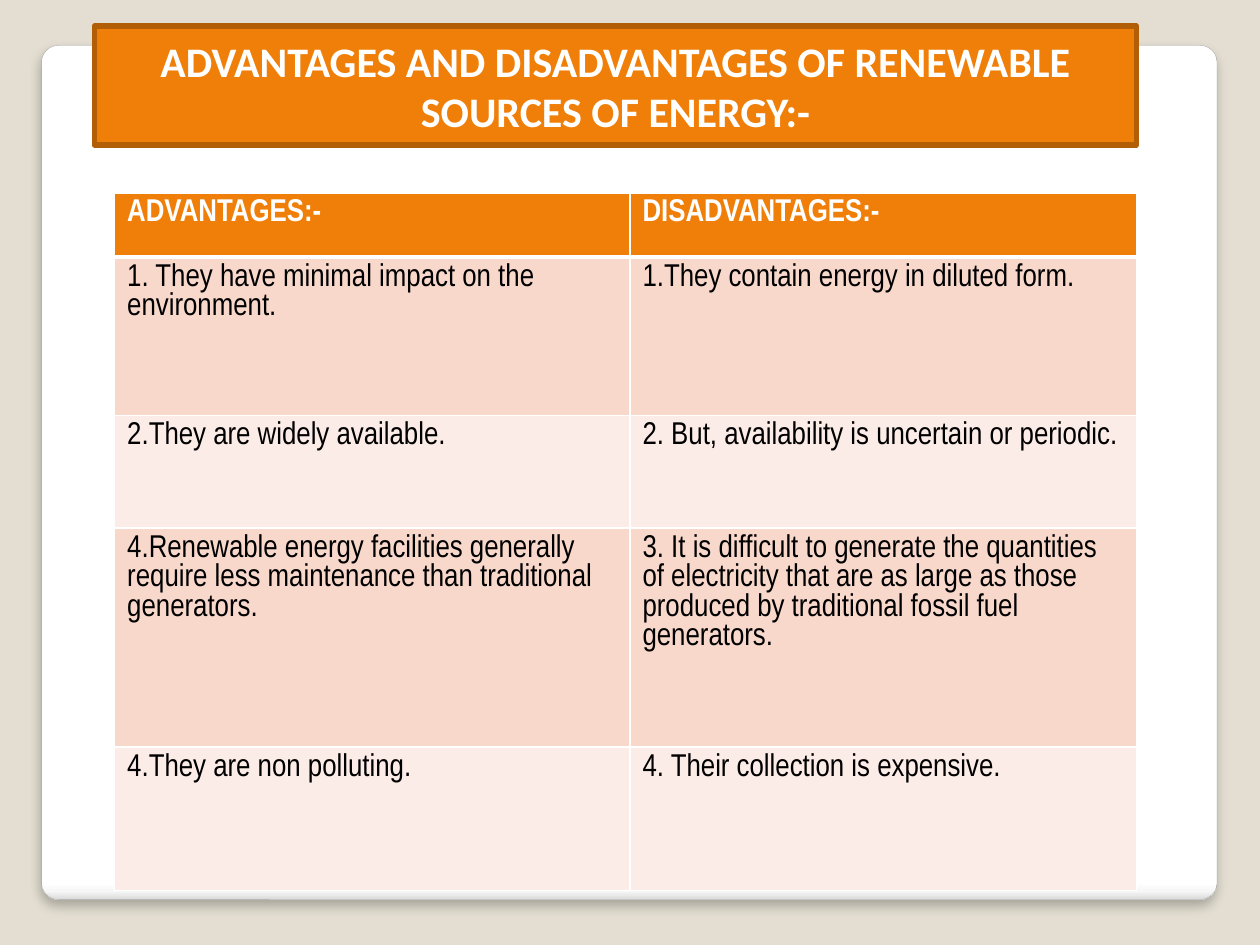
from lxml.etree import SubElement
from pptx import Presentation
from pptx.dml.color import RGBColor
from pptx.enum.shapes import MSO_SHAPE as Shape
from pptx.enum.text import MSO_ANCHOR as Anchor, PP_ALIGN as Align
from pptx.oxml import parse_xml
from pptx.oxml.ns import nsdecls, qn
from pptx.util import Inches, Pt

WHITE = RGBColor(0xFF, 0xFF, 0xFF)
BLACK = RGBColor(0x00, 0x00, 0x00)
BEIGE = RGBColor(0xE3, 0xDE, 0xD1)
GREY = RGBColor(0xA4, 0xA4, 0xA4)
ORANGE = RGBColor(0xF0, 0x7F, 0x09)
BROWN = RGBColor(0xB2, 0x5E, 0x07)
PINK = RGBColor(0xF9, 0xD8, 0xCC)
PALE_PINK = RGBColor(0xFC, 0xEC, 0xE7)

CARD_STOPS = [(0, "FFFFFF"), (98, "FFFFFF"), (99, "F7F7F7"), (100, "DADADA")]
COMPARISON = [
    ("ADVANTAGES:-", "DISADVANTAGES:-"),
    ("1. They have minimal impact on the environment.",
     "1.They contain energy in diluted form."),
    ("2.They are widely available.",
     "2. But, availability is uncertain or periodic."),
    ("4.Renewable energy facilities generally require less maintenance than "
     "traditional generators.",
     "3. It is difficult to generate the quantities of electricity that are as "
     "large as those produced by traditional fossil fuel generators."),
    ("4.They are non polluting.", "4. Their collection is expensive."),
]
COLUMN_WIDTHS = [4.09, 4.02]
ROW_HEIGHTS = [0.51, 1.26, 0.89, 1.74, 1.14]


class SlideBuilder:
    def __init__(self, slide):
        self.slide = slide
        fill = slide.background.fill
        fill.solid()
        fill.fore_color.rgb = BEIGE

    def add_text(self, frame, text, font, size, color, bold):
        run = frame.paragraphs[0].add_run()
        run.text = text
        run.font.name = font
        run.font.size = Pt(size)
        run.font.color.rgb = color
        run.font.bold = bold

    def box(self, kind, bounds, fill, line, width):
        box = self.slide.shapes.add_shape(kind, *map(Inches, bounds))
        box.shadow.inherit = False
        box.fill.solid()
        box.fill.fore_color.rgb = fill
        box.line.color.rgb = line
        box.line.width = Pt(width)
        return box

    def card(self, bounds):
        card = self.box(Shape.ROUNDED_RECTANGLE, bounds, WHITE, GREY, 0.16)
        card.adjustments[0] = 0.02
        properties = card._element.spPr
        stops = "".join(
            f'<a:gs pos="{position * 1000}"><a:srgbClr val="{color}"/></a:gs>'
            for position, color in CARD_STOPS)
        gradient = parse_xml(
            f'<a:gradFill {nsdecls("a")}><a:gsLst>{stops}</a:gsLst>'
            '<a:lin ang="5400000" scaled="0"/></a:gradFill>')
        properties.replace(properties.find(qn("a:solidFill")), gradient)
        shadow = SubElement(
            properties.find(qn("a:effectLst")), qn("a:outerShdw"),
            blurRad=str(Pt(6)), dist=str(Pt(4)), dir="5400000",
            algn="tl", rotWithShape="0")
        color = SubElement(shadow, qn("a:srgbClr"), val="000000")
        SubElement(color, qn("a:alpha"), val="25000")

    def banner(self, bounds, text):
        banner = self.box(Shape.RECTANGLE, bounds, ORANGE, BROWN, 3.35)
        frame = banner.text_frame
        frame.word_wrap = True
        frame.vertical_anchor = Anchor.MIDDLE
        frame.paragraphs[0].alignment = Align.CENTER
        self.add_text(frame, text, "Calibri", 24, WHITE, True)

    def borders(self, cell, bottom):
        properties = cell._tc.get_or_add_tcPr()
        widths = {"a:lnL": 1, "a:lnR": 1, "a:lnT": 1, "a:lnB": bottom}
        for index, (side, width) in enumerate(widths.items()):
            properties.insert(index, parse_xml(
                f'<{side} {nsdecls("a")} w="{Pt(width)}"><a:solidFill>'
                f'<a:srgbClr val="{WHITE}"/></a:solidFill></{side}>'))

    def table(self, left, top, rows):
        table = self.slide.shapes.add_table(
            len(rows), len(COLUMN_WIDTHS), Inches(left), Inches(top),
            Inches(sum(COLUMN_WIDTHS)), Inches(sum(ROW_HEIGHTS))).table
        for column, width in zip(table.columns, COLUMN_WIDTHS):
            column.width = Inches(width)
        for index, texts in enumerate(rows):
            header = index == 0
            table.rows[index].height = Inches(ROW_HEIGHTS[index])
            band = ORANGE if header else (PALE_PINK, PINK)[index % 2]
            for cell, text in zip(table.rows[index].cells, texts):
                cell.fill.solid()
                cell.fill.fore_color.rgb = band
                self.borders(cell, 3 if header else 1)
                self.add_text(cell.text_frame, text, "Arial Narrow", 18,
                              WHITE if header else BLACK, header)


def main():
    deck = Presentation()
    deck.slide_width, deck.slide_height = Inches(10), Inches(7.5)
    builder = SlideBuilder(deck.slides.add_slide(deck.slide_layouts[6]))
    builder.card((0.33, 0.36, 9.33, 6.78))
    builder.table(0.91, 1.53, COMPARISON)
    builder.banner((0.75, 0.21, 8.27, 0.94),
                   "ADVANTAGES AND DISADVANTAGES OF RENEWABLE SOURCES OF ENERGY:-")
    deck.save("out.pptx")


if __name__ == "__main__":
    main()
